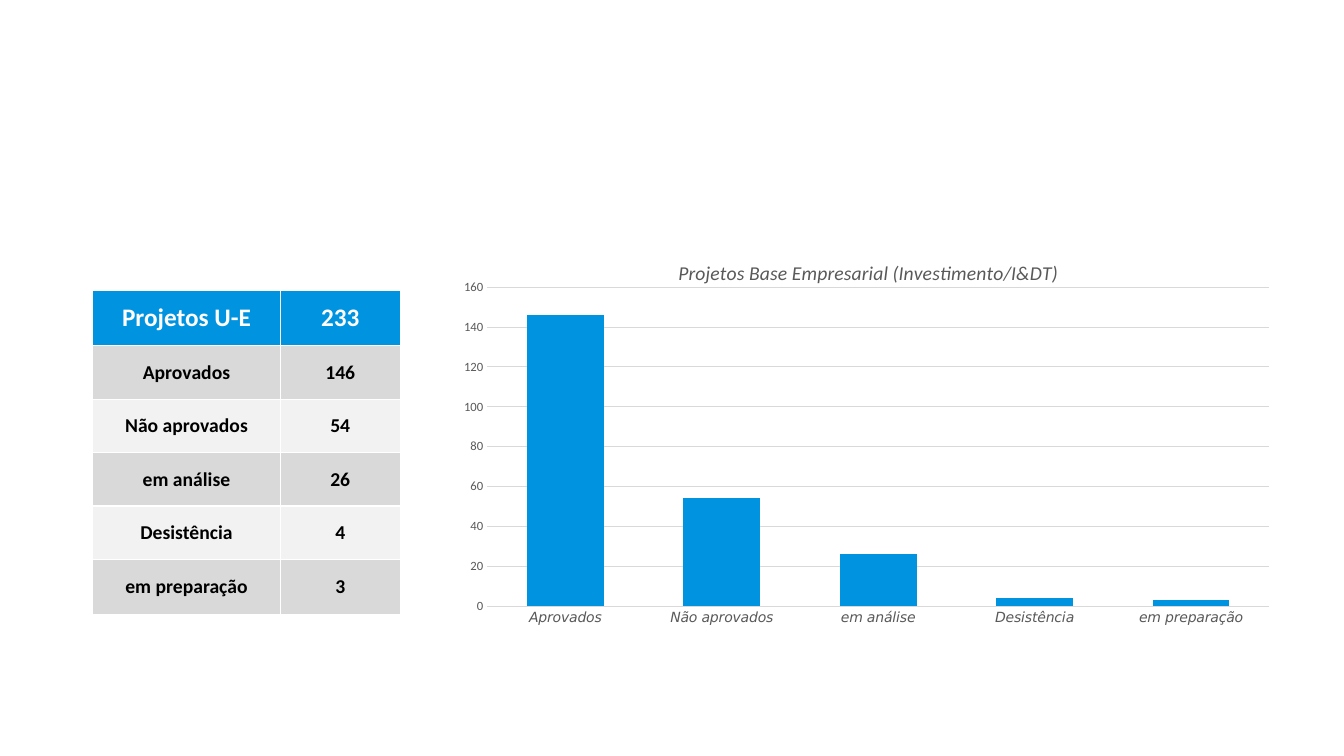
import pptx
import pptx.chart.data
import pptx.dml.color
import pptx.enum.chart
import pptx.enum.text
import pptx.oxml
import pptx.oxml.ns
import pptx.util

Inches = pptx.util.Inches
Pt = pptx.util.Pt

COLORS = {
    "blue": "0093E0",
    "white": "FFFFFF",
    "black": "000000",
    "dark_band": "D9D9D9",
    "light_band": "F2F2F2",
    "grid": "D9D9D9",
    "label": "595959",
}
STATUSES = {
    "Aprovados": 146,
    "Não aprovados": 54,
    "em análise": 26,
    "Desistência": 4,
    "em preparação": 3,
}


def rgb(name):
    return pptx.dml.color.RGBColor.from_string(COLORS[name])


def set_font(font, size, color, name="Calibri", bold=False, italic=False):
    font.name = name
    font.size = Pt(size)
    font.bold = bold
    font.italic = italic
    font.color.rgb = rgb(color)


def set_layout(parent, **values):
    qn = pptx.oxml.ns.qn
    for layout in parent.findall(qn("c:layout")):
        parent.remove(layout)
    items = "".join(f'<c:{tag} val="{val}"/>' for tag, val in values.items())
    layout = pptx.oxml.parse_xml(
        f'<c:layout {pptx.oxml.ns.nsdecls("c")}>'
        f'<c:manualLayout>{items}</c:manualLayout></c:layout>')
    parent.insert(len(parent.findall(qn("c:tx"))), layout)


def fill_cell(cell, text, fill, size, color):
    cell.fill.solid()
    cell.fill.fore_color.rgb = rgb(fill)
    cell.vertical_anchor = pptx.enum.text.MSO_ANCHOR.MIDDLE
    cell.margin_left = cell.margin_right = Inches(0.08)
    cell.margin_top = cell.margin_bottom = Inches(0.08)
    cell.text_frame.text = text
    p = cell.text_frame.paragraphs[0]
    p.alignment = pptx.enum.text.PP_ALIGN.CENTER
    set_font(p.runs[0].font, size, color, bold=True)


def add_status_table(slide):
    rows = [("Projetos U-E", sum(STATUSES.values())), *STATUSES.items()]
    table = slide.shapes.add_table(
        len(rows), 2, Inches(0.92), Inches(2.88), Inches(3.05), Inches(3.23)).table
    for column, width in zip(table.columns, (1.86, 1.19)):
        column.width = Inches(width)
    for i, values in enumerate(rows):
        table.rows[i].height = Inches(0.55 if i in (0, len(rows) - 1) else 0.53)
        if i == 0:
            style = ("blue", 18, "white")
        else:
            style = ("dark_band" if i % 2 else "light_band", 14, "black")
        for j, value in enumerate(values):
            fill_cell(table.cell(i, j), str(value), *style)


def format_title(chart, text):
    title = chart.chart_title
    title.text_frame.text = text
    set_font(title.text_frame.paragraphs[0].runs[0].font, 14, "label", italic=True)
    set_layout(chart._chartSpace.chart.find(pptx.oxml.ns.qn("c:title")),
               xMode="edge", yMode="edge", x=0.27, y=0.05)


def format_axes(chart):
    tick_none = pptx.enum.chart.XL_TICK_MARK.NONE
    for axis in (chart.category_axis, chart.value_axis):
        axis.major_tick_mark = axis.minor_tick_mark = tick_none
    cat_axis, val_axis = chart.category_axis, chart.value_axis
    set_font(cat_axis.tick_labels.font, 10, "label", "DejaVu Sans", italic=True)
    set_font(val_axis.tick_labels.font, 9, "label")
    val_axis.minimum_scale, val_axis.maximum_scale = 0, 160
    val_axis.major_unit = 20
    val_axis.has_major_gridlines = True
    val_axis.format.line.fill.background()
    for line in (cat_axis.format.line, val_axis.major_gridlines.format.line):
        line.color.rgb = rgb("grid")
        line.width = Pt(0.75)


def add_status_chart(slide):
    data = pptx.chart.data.CategoryChartData()
    data.categories = list(STATUSES)
    data.add_series("Series 1", list(STATUSES.values()))
    chart = slide.shapes.add_chart(
        pptx.enum.chart.XL_CHART_TYPE.COLUMN_CLUSTERED,
        Inches(4.46), Inches(2.33), Inches(8.27), Inches(4.09), data).chart
    set_font(chart.font, 10, "black")
    chart.has_legend = False
    format_title(chart, "Projetos Base Empresarial (Investimento/I&DT)")
    format_axes(chart)
    plot = chart.plots[0]
    plot.gap_width = 104
    plot.overlap = -27
    plot.vary_by_categories = False
    fill = plot.series[0].format.fill
    fill.solid()
    fill.fore_color.rgb = rgb("blue")
    set_layout(chart._chartSpace.chart.plotArea, layoutTarget="inner",
               xMode="edge", yMode="edge", x=0.045, y=0.127, w=0.938, h=0.774)


def main():
    prs = pptx.Presentation()
    prs.slide_width = Inches(13.33)
    prs.slide_height = Inches(7.5)
    slide = prs.slides.add_slide(prs.slide_layouts[6])
    add_status_table(slide)
    add_status_chart(slide)
    prs.save("out.pptx")


if __name__ == "__main__":
    main()
